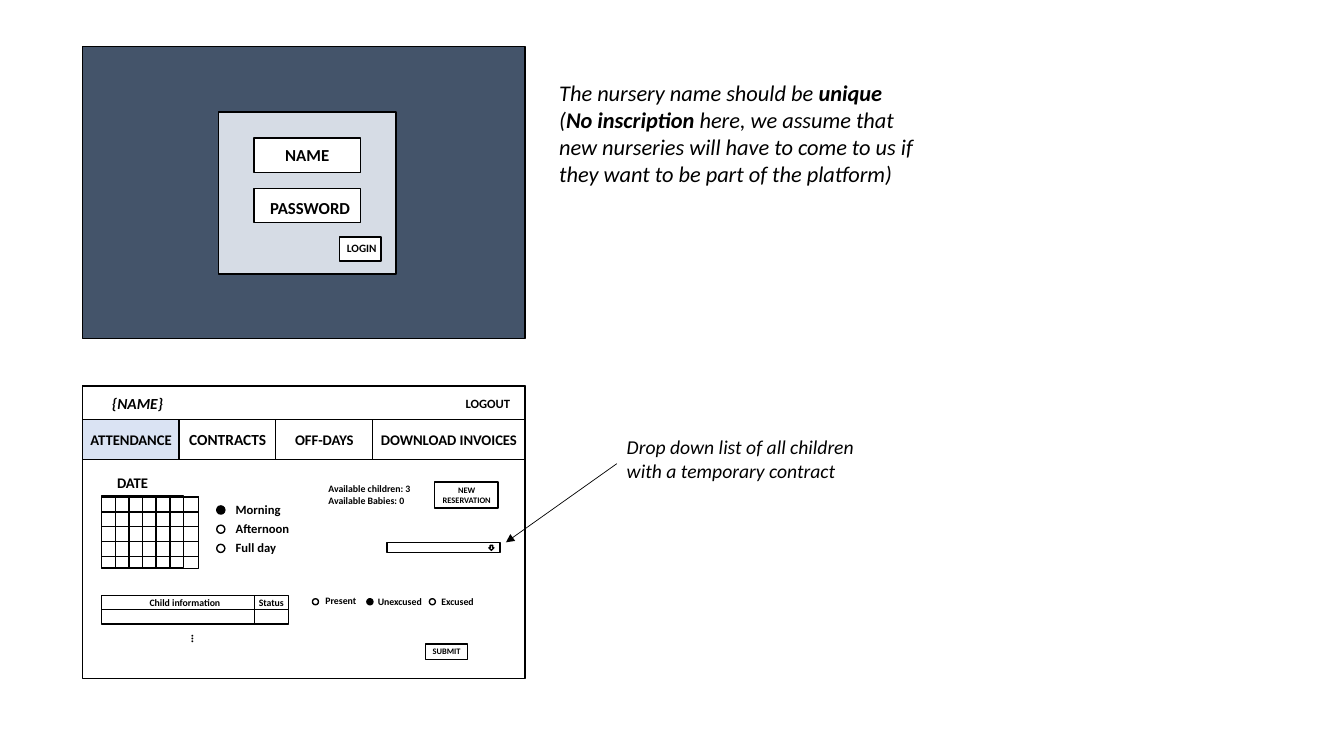
from lxml.etree import SubElement
from pptx import Presentation
from pptx.dml.color import RGBColor
from pptx.enum.shapes import MSO_CONNECTOR, MSO_SHAPE
from pptx.enum.text import MSO_AUTO_SIZE, PP_ALIGN
from pptx.oxml.ns import qn
from pptx.util import Pt

COLORS = {
    "ink": "000000",
    "paper": "FFFFFF",
    "backdrop": "44546A",
    "card": "D6DCE5",
    "active": "DAE3F3",
}


class Wireframe:
    font = "Calibri"
    outline = 1
    thin = 0.5

    def __init__(self, slide):
        self.shapes = slide.shapes

    def color(self, name):
        return RGBColor.from_string(COLORS[name])

    def shape(self, x, y, w, h, fill=None, kind=MSO_SHAPE.RECTANGLE, rotation=0):
        shape = self.shapes.add_shape(kind, Pt(x), Pt(y), Pt(w), Pt(h))
        shape.shadow.inherit = False
        shape.rotation = rotation
        if fill:
            shape.fill.solid()
            shape.fill.fore_color.rgb = self.color(fill)
        else:
            shape.fill.background()
        shape.line.color.rgb = self.color("ink")
        shape.line.width = Pt(self.outline)

    def radio(self, x, y, size, chosen):
        self.shape(x, y, size, size, "ink" if chosen else "paper", MSO_SHAPE.OVAL)

    def text(self, x, y, w, h, size, paragraphs, center=False, rotation=0):
        box = self.shapes.add_textbox(Pt(x), Pt(y), Pt(w), Pt(h))
        box.rotation = rotation
        frame = box.text_frame
        frame.word_wrap = True
        frame.auto_size = MSO_AUTO_SIZE.SHAPE_TO_FIT_TEXT
        for index, runs in enumerate(paragraphs):
            paragraph = frame.add_paragraph() if index else frame.paragraphs[0]
            paragraph.alignment = PP_ALIGN.CENTER if center else PP_ALIGN.LEFT
            for words, style in runs:
                run = paragraph.add_run()
                run.text = words
                run.font.name = self.font
                run.font.size = Pt(size)
                run.font.bold = "b" in style
                run.font.italic = "i" in style
                run.font.color.rgb = self.color("ink")

    def label(self, x, y, w, h, size, words, center=False, style="b", rotation=0):
        self.text(x, y, w, h, size, [[(words, style)]], center, rotation)

    def line(self, x1, y1, x2, y2, arrow=False):
        line = self.shapes.add_connector(
            MSO_CONNECTOR.STRAIGHT, Pt(x1), Pt(y1), Pt(x2), Pt(y2))
        line.line.color.rgb = self.color("ink")
        line.line.width = Pt(self.thin)
        if arrow:
            SubElement(line.line._get_or_add_ln(), qn("a:tailEnd"), type="triangle")
        SubElement(line._element.spPr, qn("a:effectLst"))


def draw_login(page):
    page.shape(59, 33.1, 316.1, 208.8, "backdrop")
    page.shape(156.2, 79.9, 126.7, 115.9, "card")
    for field_y in (98.6, 134.6):
        page.shape(181.4, field_y, 76.3, 24.5, "paper")
    page.shape(242.6, 169.2, 29.5, 17.3, "paper")
    page.label(196.6, 100.1, 50.4, 21.6, 12, "NAME")
    page.label(185.8, 137.5, 86.4, 21.6, 12, "PASSWORD")
    page.label(233.3, 169.2, 50.4, 17.3, 8, "LOGIN", center=True)
    page.text(392.4, 53.3, 268.6, 85, 16, [
        [("The nursery name should be ", "i"), ("unique", "bi")],
        [("(", "i"), ("No inscription ", "bi"),
         ("here, we assume that new nurseries will have to come to us "
          "if they want to be part of the platform)", "i")],
    ])


def draw_header(page):
    page.shape(59, 275.8, 316.1, 208.8)
    page.shape(59, 275.8, 316.1, 23.8)
    page.label(323.3, 279.4, 50.4, 18, 9, "LOGOUT", center=True)
    page.label(54, 277.9, 88.6, 20.9, 11, "{NAME}", center=True, style="bi")
    tab_x = 59
    for tab, width, size, fill in (
        ("ATTENDANCE", 69, 10.5, "active"),
        ("CONTRACTS", 69, 11, None),
        ("OFF-DAYS", 69, 10.5, None),
        ("DOWNLOAD INVOICES", 109.1, 10.5, None),
    ):
        page.shape(tab_x, 299.5, width, 28.8, fill)
        page.label(tab_x - 9.8, 304, width + 20, 20.5, size, tab, center=True)
        tab_x += width


def draw_calendar(page):
    page.label(50.4, 334.8, 88.6, 20.2, 10.5, "DATE", center=True)
    page.shape(72.7, 355, 69.1, 51.1)
    for week in range(4):
        page.shape(72.7, 355 + 10.6 * week, 69.1, 10.6)
    for day in range(6):
        page.shape(72.7 + 9.7 * day, 354.4, 9.9, 51.1)
    for index, period in enumerate(("Morning", "Afternoon", "Full day")):
        page.radio(154.8, 361.4 + 13.7 * index, 5.8, index == 0)
        page.label(161.3, 355 + 13.4 * index, 88.6, 18, 9, period)


def draw_children(page):
    for row_y in (425.5, 435.6):
        page.shape(72.7, row_y, 133.2, 10.1)
    page.line(181.4, 425.5, 181.4, 445.7)
    page.label(177.8, 422.6, 88.6, 15.8, 7, "Status")
    page.label(87.8, 422.6, 88.6, 15.8, 7, "Child information", center=True)
    page.label(125.3, 447.1, 30.2, 18, 9, "…", center=True, rotation=90)
    for status, radio_x, label_x, label_y, width in (
        ("Present", 223.2, 225.4, 421.2, 40.3),
        ("Unexcused", 262.1, 262.8, 421.9, 61.2),
        ("Excused", 306.7, 308.2, 421.9, 40.3),
    ):
        page.radio(radio_x, 427.7, 4.3, status == "Unexcused")
        page.label(label_x, label_y, width, 15.8, 7, status)
    page.shape(303.8, 460.1, 30.2, 10.8, "paper")
    page.label(293.8, 457.9, 50.4, 14.4, 6, "SUBMIT", center=True)


def draw_reservation(page):
    page.text(227.5, 341.3, 101.5, 24.5, 7, [
        [("Available children: 3", "b")],
        [("Available Babies: 0", "b")],
    ])
    page.shape(310.3, 344.2, 45.4, 18.7, "paper")
    page.label(308.2, 342.7, 50.4, 21.6, 6, "NEW RESERVATION", center=True)
    page.shape(276.5, 387.4, 80.6, 7.2)
    page.shape(349.2, 389.5, 3.6, 3.6, "paper", MSO_SHAPE.RIGHT_ARROW, 90)
    page.line(440.6, 331.2, 361.4, 387.4, arrow=True)
    page.label(440.6, 307.4, 188.6, 41, 14,
               "Drop down list of all children with a temporary contract", style="i")


def main():
    deck = Presentation()
    deck.slide_width, deck.slide_height = Pt(960), Pt(540)
    page = Wireframe(deck.slides.add_slide(deck.slide_layouts[6]))
    draw_login(page)
    draw_header(page)
    draw_calendar(page)
    draw_children(page)
    draw_reservation(page)
    deck.save("out.pptx")


if __name__ == "__main__":
    main()
